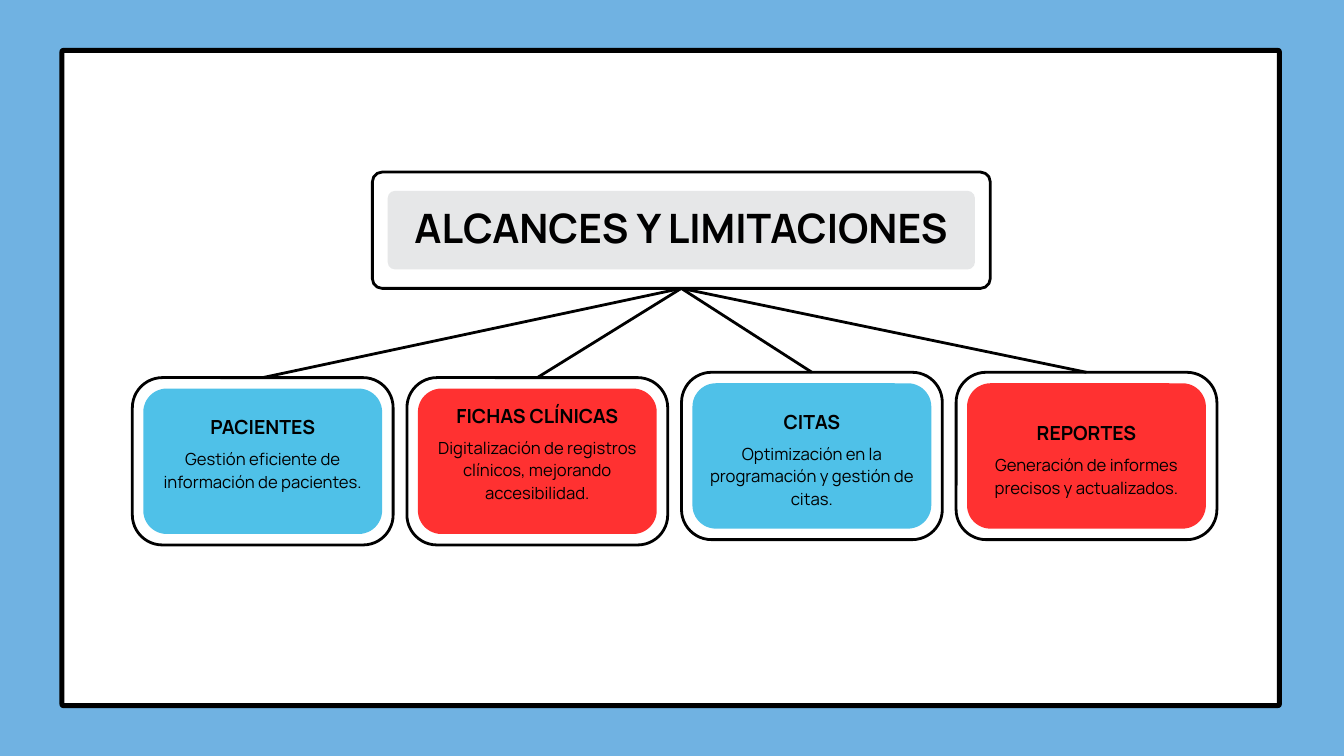
"""Build the scope and limitations slide: a title frame joined to four cards."""
from pptx import Presentation
from pptx.dml.color import RGBColor
from pptx.enum.shapes import MSO_CONNECTOR as Connector, MSO_SHAPE as Shape
from pptx.enum.text import PP_ALIGN as Align
from pptx.oxml.ns import qn
from pptx.util import Pt
from lxml.etree import SubElement

BLUE, RED, BLACK = "4FC1E8", "FF3131", "000000"
TITLE = "ALCANCES Y LIMITACIONES"
CARDS = [
    ("PACIENTES", "Gestión eficiente de información de pacientes.", BLUE, 404.6, 445),
    ("FICHAS CLÍNICAS", "Digitalización de registros clínicos, mejorando accesibilidad.", RED, 404.6, 433),
    ("CITAS", "Optimización en la programación y gestión de citas.", BLUE, 398.9, 439.4),
    ("REPORTES", "Generación de informes precisos y actualizados.", RED, 398.9, 451.4),
]
CARD_LEFT, CARD_STEP, CARD_WIDTH, CARD_HEIGHT = 141.8, 294.2, 279.4, 179.3
INSET = 11.75


def color(value):
    """Turn a hex string into a colour."""
    return RGBColor.from_string(value)


def add_box(page, left, top, width, height, radius, fill=None, line=None):
    """Add a rounded rectangle with an optional fill and black outline."""
    box = page.shapes.add_shape(Shape.ROUNDED_RECTANGLE, Pt(left), Pt(top), Pt(width), Pt(height))
    box.adjustments[0] = radius / min(width, height)
    box.shadow.inherit = False
    if fill:
        box.fill.solid()
        box.fill.fore_color.rgb = color(fill)
    else:
        box.fill.background()
    if line:
        box.line.color.rgb = color(BLACK)
        box.line.width = Pt(line)
    else:
        box.line.fill.background()
    return box


def add_text(page, text, left, top, width, height, size, spacing, bold=False):
    """Add a centred text box without margins."""
    box = page.shapes.add_textbox(Pt(left), Pt(top), Pt(width), Pt(height))
    frame = box.text_frame
    frame.word_wrap = True
    frame.margin_left = frame.margin_right = frame.margin_top = frame.margin_bottom = 0
    para = frame.paragraphs[0]
    para.alignment = Align.CENTER
    para.line_spacing = Pt(spacing)
    span = para.add_run()
    span.text = text
    span.font.name = "Manrope"
    span.font.size = Pt(size)
    span.font.bold = bold
    span.font.color.rgb = color(BLACK)


def add_link(page, card, frame):
    """Join the top of a card to the bottom of the title frame."""
    link = page.shapes.add_connector(Connector.STRAIGHT, 0, 0, 0, 0)
    link.begin_connect(card, 0)
    link.end_connect(frame, 2)
    link.line.color.rgb = color(BLACK)
    link.line.width = Pt(3)
    SubElement(link._element.spPr, qn("a:effectLst"))


def main():
    """Compose the slide and save it."""
    deck = Presentation()
    deck.slide_width, deck.slide_height = Pt(1440), Pt(810)
    page = deck.slides.add_slide(deck.slide_layouts[6])
    page.background.fill.solid()
    page.background.fill.fore_color.rgb = color("70B2E2")

    add_box(page, 66.4, 54, 1304.4, 702, 1.4, fill="FFFFFF", line=5.25)
    title_frame = add_box(page, 399, 184.4, 662, 124.6, 10.4, line=3)
    add_box(page, 415.4, 204.5, 629.2, 84.2, 7.9, fill="E6E7E8")
    add_text(page, TITLE, 407.5, 218.2, 645, 54, size=43.4, spacing=51.6, bold=True)

    outlines = []
    for index, (heading, detail, fill, top, text_top) in enumerate(CARDS):
        left = CARD_LEFT + index * CARD_STEP
        outlines.append(add_box(page, left, top, CARD_WIDTH, CARD_HEIGHT, 32.2, line=3))
        add_box(page, left + INSET, top + INSET, CARD_WIDTH - 2 * INSET,
                CARD_HEIGHT - 2 * INSET, 25.2, fill=fill)
        add_text(page, detail, left + 27, text_top + 32.6, CARD_WIDTH - 54, 72,
                 size=17.9, spacing=24.5)
        add_text(page, heading, left + 16.6, text_top, CARD_WIDTH - 33.2, 26,
                 size=20.8, spacing=24.8, bold=True)
    for outline in outlines:
        add_link(page, outline, title_frame)

    deck.save("out.pptx")


if __name__ == "__main__":
    main()
